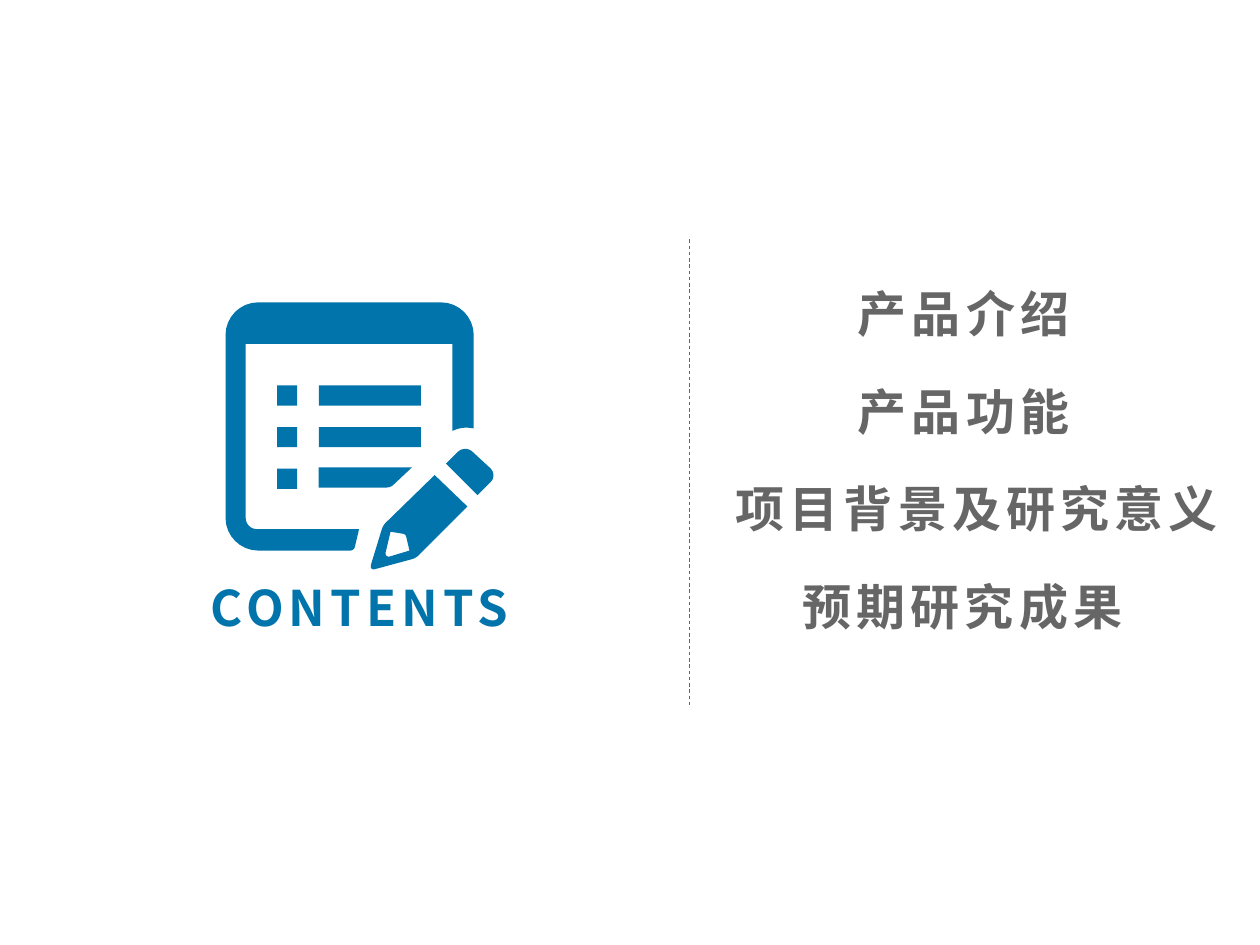
import dataclasses

import pptx
import pptx.dml.color
import pptx.enum.dml
import pptx.enum.shapes
import pptx.enum.text
import pptx.oxml
import pptx.oxml.ns
import pptx.util

Inches = pptx.util.Inches


@dataclasses.dataclass(frozen=True)
class Theme:
    blue: str = "0174AB"
    grey: str = "666666"
    font: str = "Noto Sans CJK SC"
    size: int = 28
    track: int = 300
    rule: float = 0.5


THEME = Theme()
# Each item: text, left, width
ITEMS = [
    ("产品介绍", 6.71, 1.96),
    ("产品功能", 6.71, 1.96),
    ("项目背景及研究意义", 5.74, 4.26),
    ("预期研究成果", 6.27, 2.82),
]
# Icon outlines: corners as (x, y, radius), in inches from the icon's corner
PAPER = [(1.06, 1.8, 0), (1.02, 1.97, 0.03), (0, 1.97, 0.26), (0, 0, 0.26),
         (1.97, 0, 0.26), (1.97, 1, 0), (1.88, 0.99, 0.05), (1.8, 1.02, 0),
         (1.8, 0.33, 0), (0.16, 0.33, 0), (0.16, 1.8, 0.09)]
PENCIL = [(1.66, 1.37, 0), (1.92, 1.62, 0), (1.51, 2.03, 0.03),
          (1.14, 2.13, 0.05), (1.25, 1.77, 0.03)]
TIP = [(1.31, 1.82, 0), (1.43, 1.84, 0.02), (1.46, 1.97, 0), (1.26, 2.03, 0.05)]
CAP = [(1.75, 1.28, 0), (1.9, 1.13, 0.08), (2.16, 1.37, 0.08), (2, 1.53, 0)]
LAST = [(0.74, 1.31, 0), (1.48, 1.31, 0), (1.31, 1.47, 0.03), (0.74, 1.47, 0)]


def color(code):
    return pptx.dml.color.RGBColor.from_string(code)


def place(shape, box):
    shape.left, shape.top, shape.width, shape.height = map(Inches, box)


def write(shape, text, code, align):
    frame = shape.text_frame
    frame.word_wrap = True
    frame.auto_size = pptx.enum.text.MSO_AUTO_SIZE.SHAPE_TO_FIT_TEXT
    frame.vertical_anchor = pptx.enum.text.MSO_ANCHOR.TOP
    para = frame.paragraphs[0]
    para.alignment = align
    run = para.add_run()
    run.text = text
    font = run.font
    font.name, font.size, font.bold = THEME.font, pptx.util.Pt(THEME.size), True
    font.color.rgb = color(code)
    props = run._r.get_or_add_rPr()
    props.set("spc", str(THEME.track))
    east = pptx.oxml.parse_xml(f'<a:ea {pptx.oxml.ns.nsdecls("a")} typeface="{THEME.font}"/>')
    props.find(pptx.oxml.ns.qn("a:latin")).addnext(east)


def paint(shape):
    shape.shadow.inherit = False
    shape.fill.solid()
    shape.fill.fore_color.rgb = color(THEME.blue)
    shape.line.fill.background()


def soften(corners, steps=8):
    """Return the outline's points, with each corner rounded by its radius."""
    points = []
    for i, (x, y, r) in enumerate(corners):
        if not r:
            points.append((x, y))
            continue
        ends = []
        for a, b, _ in (corners[i - 1], corners[(i + 1) % len(corners)]):
            part = r / ((a - x) ** 2 + (b - y) ** 2) ** 0.5
            ends.append((x + (a - x) * part, y + (b - y) * part))
        for n in range(steps + 1):
            t = n / steps
            # Cubic curve with handles 0.55 of the way to the corner
            start = (1 - t) ** 3 + 1.35 * t * (1 - t) ** 2
            end = t ** 3 + 1.35 * t ** 2 * (1 - t)
            mid = 1 - start - end
            points.append(tuple(start * p + mid * c + end * q
                                for p, c, q in zip(ends[0], (x, y), ends[1])))
    return points


def outline(shapes, left, top, *loops):
    pen = None
    for loop in loops:
        points = [(Inches(left + x), Inches(top + y)) for x, y in soften(loop)]
        if pen is None:
            pen = shapes.build_freeform(*points[0])
        else:
            pen.move_to(*points[0])
        pen.add_line_segments(points[1:], close=True)
    paint(pen.convert_to_shape())


def icon(slide, left, top):
    shapes = slide.shapes.add_group_shape().shapes
    for loops in ([PAPER], [PENCIL, TIP], [CAP], [LAST]):
        outline(shapes, left, top, *loops)
    side, pitch = 0.16, 0.33
    for row in range(3):
        parts = [(0.41, side), (0.74, 0.81)]
        for x, width in parts[:1] if row == 2 else parts:
            bar = shapes.add_shape(
                pptx.enum.shapes.MSO_SHAPE.RECTANGLE, Inches(left + x),
                Inches(top + 0.66 + row * pitch), Inches(width), Inches(side))
            paint(bar)


def rule(slide, x, top, end):
    line = slide.shapes.add_connector(
        pptx.enum.shapes.MSO_CONNECTOR.STRAIGHT,
        Inches(x), Inches(top), Inches(x), Inches(end))
    line.line.color.rgb = color(THEME.grey)
    line.line.width = pptx.util.Pt(THEME.rule)
    line.line.dash_style = pptx.enum.dml.MSO_LINE.DASH
    line._element.spPr.append(
        pptx.oxml.parse_xml(f'<a:effectLst {pptx.oxml.ns.nsdecls("a")}/>'))


def agenda(slide, top, pitch):
    for row, (text, left, width) in enumerate(ITEMS):
        box = slide.shapes.add_textbox(0, 0, 0, 0)
        place(box, (left, top + row * pitch, width, 0.57))
        write(box, text, THEME.grey, pptx.enum.text.PP_ALIGN.LEFT)


def main():
    deck = pptx.Presentation()
    deck.slide_width, deck.slide_height = Inches(10), Inches(7.5)
    slide = deck.slides.add_slide(deck.slide_layouts.get_by_name("Title Only"))
    rule(slide, 5.47, 1.9, 5.6)
    agenda(slide, 2.2, 0.775)
    icon(slide, 1.79, 2.4)
    title = slide.shapes.title
    place(title, (1.4, 4.53, 2.91, 0.57))
    write(title, "CONTENTS", THEME.blue, pptx.enum.text.PP_ALIGN.CENTER)
    deck.save("out.pptx")


if __name__ == "__main__":
    main()
